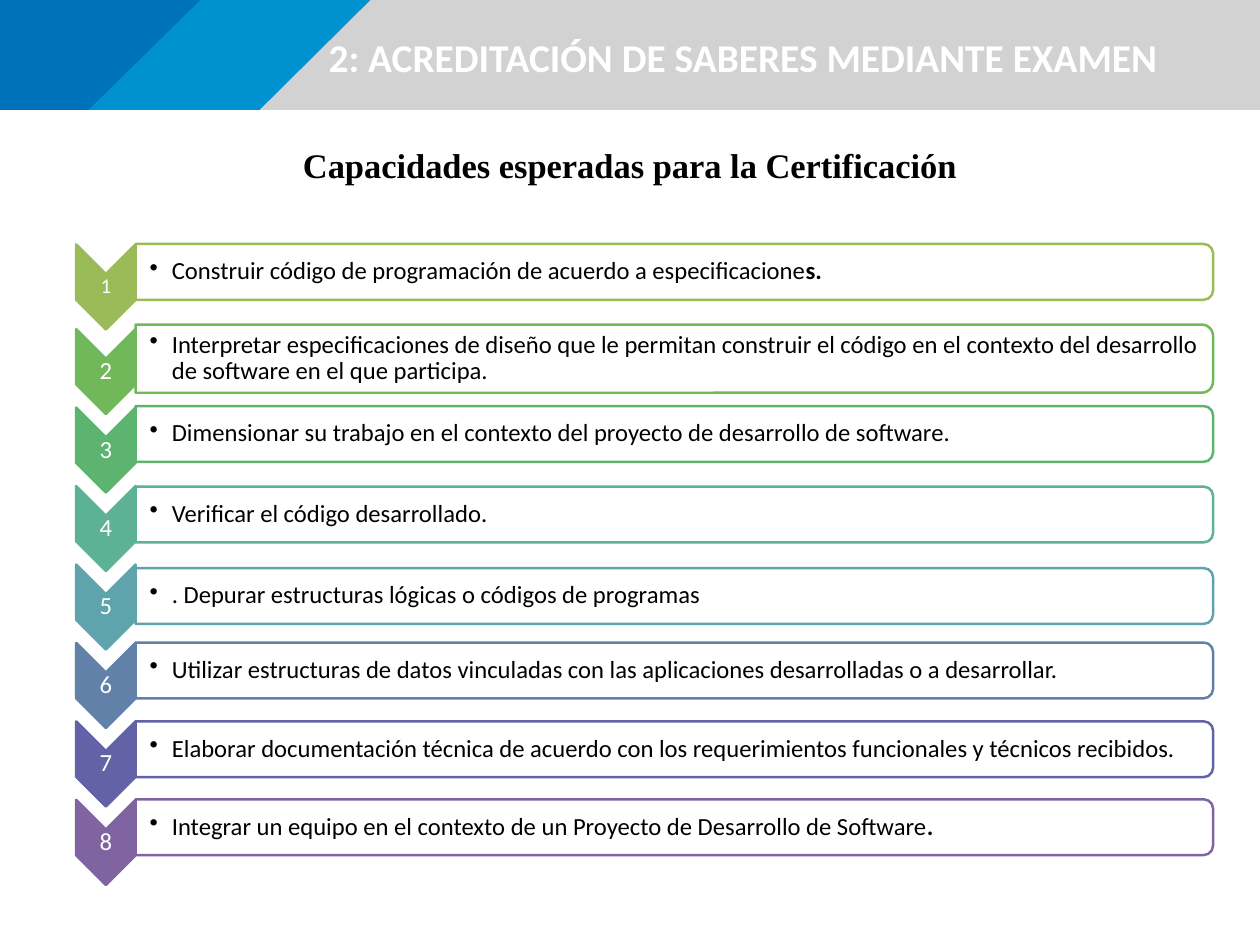
import lxml.etree
import pptx
import pptx.dml.color
import pptx.enum.shapes
import pptx.enum.text
import pptx.oxml.ns
import pptx.util

Inches = pptx.util.Inches
ShapeType = pptx.enum.shapes.MSO_SHAPE
Align = pptx.enum.text.PP_ALIGN
Anchor = pptx.enum.text.MSO_ANCHOR

WIDTH, HEIGHT = 14.22, 10.67
BAND_HEIGHT = 1.24
CHEVRON_WIDTH, CHEVRON_HEIGHT = 0.67, 0.96
ROW_PITCH = 0.886
BAR_HEIGHT, TALL_BAR_HEIGHT = 0.63, 0.77
TEXT_SIZE = 20

CAPACITIES = [
    ("9BBB59", 3.07, "Construir código de programación de acuerdo a especificacione", "s."),
    ("70B85A", 4.05, "Interpretar especificaciones de diseño que le permitan construir el código "
     "en el contexto del desarrollo de software en el que participa.", ""),
    ("5CB46F", 4.9, "Dimensionar su trabajo en el contexto del proyecto de desarrollo de software.", ""),
    ("5DB195", 5.81, "Verificar el código desarrollado.", ""),
    ("5FA4AD", 6.73, ". Depurar estructuras lógicas o códigos de programas", ""),
    ("6181A9", 7.57, "Utilizar estructuras de datos vinculadas con las aplicaciones desarrolladas "
     "o a desarrollar.", ""),
    ("6362A6", 8.46, "Elaborar documentación técnica de acuerdo con los requerimientos funcionales "
     "y técnicos recibidos.", ""),
    ("8064A2", 9.34, "Integrar un equipo en el contexto de un Proyecto de Desarrollo de Software", "."),
]


def color(value):
    return pptx.dml.color.RGBColor.from_string(value)


def apply_format(target, values):
    for name, value in values.items():
        setattr(target, name, value)


def paint(shape, fill, line=None):
    shape.shadow.inherit = False
    shape.fill.solid()
    shape.fill.fore_color.rgb = color(fill)
    if line:
        shape.line.color.rgb = color(line)
        shape.line.width = pptx.util.Pt(2)
    else:
        shape.line.fill.background()


def add_text(slide, box, runs, size, font_color, font="Calibri", margins=None,
             anchor=Anchor.MIDDLE, paragraph_format=None):
    frame = slide.shapes.add_textbox(*map(Inches, box)).text_frame
    apply_format(frame, {"word_wrap": True, "vertical_anchor": anchor})
    if margins:
        sides = ("margin_left", "margin_top", "margin_right", "margin_bottom")
        apply_format(frame, dict(zip(sides, map(Inches, margins))))
    paragraph = frame.paragraphs[0]
    apply_format(paragraph, paragraph_format or {})
    for text, bold in runs:
        if text:
            run = paragraph.add_run()
            run.text = text
            apply_format(run.font, {"name": font, "size": pptx.util.Pt(size), "bold": bold})
            run.font.color.rgb = color(font_color)
    return paragraph


def add_bullet(paragraph):
    properties = paragraph._p.get_or_add_pPr()
    properties.set("marL", str(Inches(0.25)))
    properties.set("indent", str(Inches(-0.25)))
    bullet = lxml.etree.SubElement(properties, pptx.oxml.ns.qn("a:buChar"))
    bullet.set("char", "•")


def add_turned_shape(slide, kind, box, fill, line):
    left, top, width, height = box
    shape = slide.shapes.add_shape(
        kind, Inches(left + (width - height) / 2), Inches(top + (height - width) / 2),
        Inches(height), Inches(width))
    shape.rotation = 90
    paint(shape, fill, line)


def add_header(slide, box):
    left, top, width, height = box
    for top_width, bottom_width, fill in (
            (width, width, "D2D2D3"), (4.18, 2.93, "0091D1"), (2.26, 1, "0071BB")):
        corners = [(left + top_width, top), (left + bottom_width, top + height),
                   (left, top + height)]
        builder = slide.shapes.build_freeform(Inches(left), Inches(top))
        builder.add_line_segments([(Inches(x), Inches(y)) for x, y in corners], close=True)
        paint(builder.convert_to_shape(), fill)
    add_text(slide, (left + 3.61, top + 0.33, 10.08, 0.64),
             [("2: ACREDITACIÓN DE SABERES MEDIANTE EXAMEN", True)], 32, "FFFFFF",
             anchor=Anchor.TOP)


def add_step(slide, box, number, size, fill):
    left, top, width, height = box
    add_turned_shape(slide, ShapeType.CHEVRON, box, fill, fill)
    add_text(slide, (left, top + 0.35 * height, width, 0.3 * height), [(str(number), False)],
             size, "FFFFFF", margins=[0.01] * 4,
             paragraph_format={"alignment": Align.CENTER, "line_spacing": 0.9})


def add_bar(slide, box, runs, line):
    left, top, width, height = box
    add_turned_shape(slide, ShapeType.ROUND_2_SAME_RECTANGLE, box, "FFFFFF", line)
    paragraph = add_text(slide, (left, top + 0.03, width - 0.03, height - 0.06), runs, TEXT_SIZE,
                         "000000", margins=(0.16, 0.01, 0.01, 0.01),
                         paragraph_format={"line_spacing": 0.9})
    add_bullet(paragraph)


def add_capacities(slide, box):
    left, top, width, height = box
    bar_left = left + CHEVRON_WIDTH
    for index, (accent, middle, text, ending) in enumerate(CAPACITIES):
        first = index == 0
        step_top = top + index * ROW_PITCH + (0 if first else 0.07)
        add_step(slide, (left, step_top, CHEVRON_WIDTH, CHEVRON_HEIGHT),
                 index + 1, 17 if first else TEXT_SIZE, accent)
        bar_height = TALL_BAR_HEIGHT if index == 1 else BAR_HEIGHT
        add_bar(slide, (bar_left, middle - bar_height / 2, width - CHEVRON_WIDTH, bar_height),
                [(text, False), (ending, True)], accent)


def main():
    presentation = pptx.Presentation()
    apply_format(presentation, {"slide_width": Inches(WIDTH), "slide_height": Inches(HEIGHT)})
    slide = presentation.slides.add_slide(presentation.slide_layouts[6])
    add_header(slide, (0, 0, WIDTH, BAND_HEIGHT))
    add_text(slide, (3.32, 1.58, 7.92, 0.57),
             [("Capacidades esperadas para la Certificación", True)], 28, "000000",
             font="Times New Roman")
    add_capacities(slide, (0.86, 2.76, 12.83, 7.23))
    presentation.save("out.pptx")


if __name__ == "__main__":
    main()
